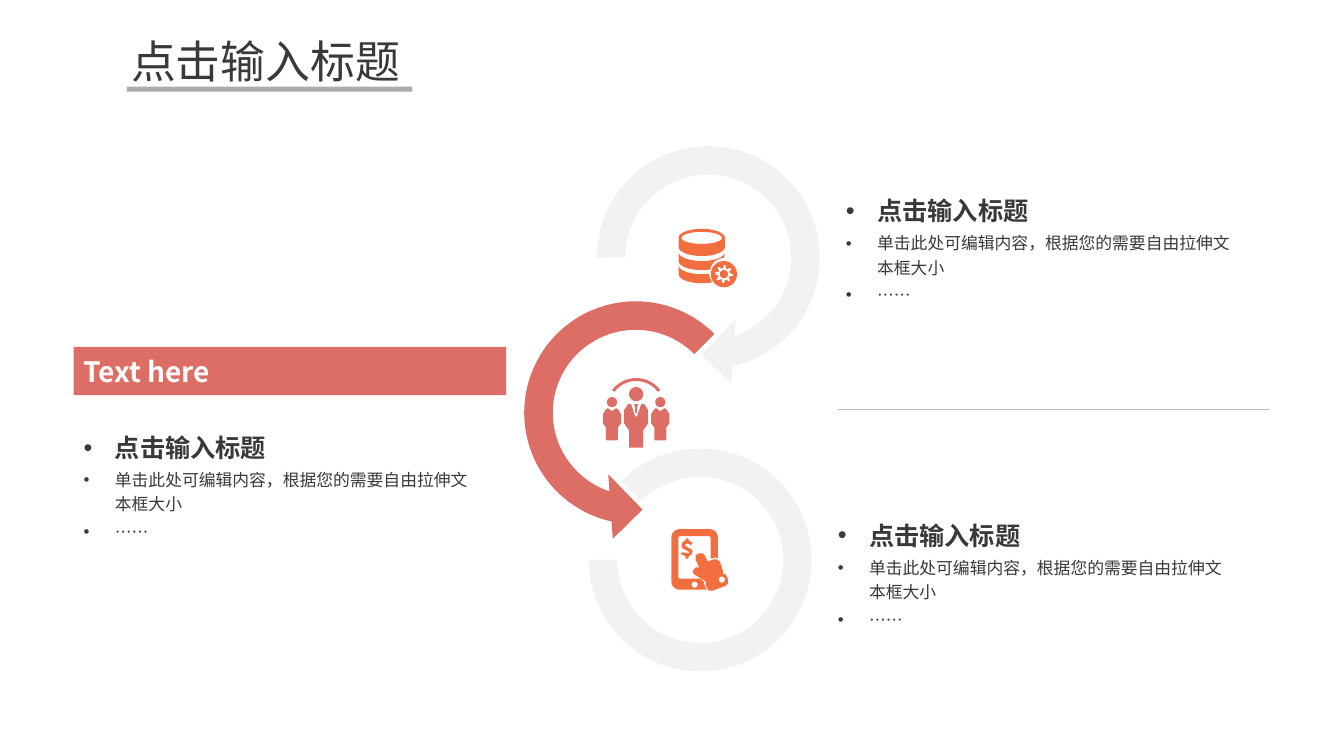
"""Builds a slide with three linked ring arrows, their icons and bullet lists."""
import math

from lxml import etree
from pptx import Presentation
from pptx import util as u
from pptx.dml.color import RGBColor
from pptx.enum import shapes, text
from pptx.oxml.ns import qn

PX = 9144
FONT = "Noto Sans CJK SC"
RED = RGBColor(0xDD, 0x6E, 0x65)
ORANGE = RGBColor(0xF3, 0x6E, 0x3F)
PALE = RGBColor(0xF2, 0xF2, 0xF2)
GRAY = RGBColor(0xAF, 0xAB, 0xAB)
RULE = RGBColor(0xBF, 0xBF, 0xBF)
DARK = RGBColor(0x3B, 0x38, 0x38)
WHITE = RGBColor(0xFF, 0xFF, 0xFF)


def arc(cx, cy, rx, ry, start=0, end=360):
    """Points along an ellipse, angles clockwise from the right."""
    steps = max(6, abs(end - start) // 9)
    angles = [math.radians(start + (end - start) * i / steps) for i in range(steps + 1)]
    return [(cx + rx * math.cos(a), cy + ry * math.sin(a)) for a in angles]


def mirrored(cx, half):
    """Closed outline from its right half, given as offsets from the axis."""
    return [(cx + x, y) for x, y in half] + [(cx - x, y) for x, y in reversed(half)]


prs = Presentation()
prs.slide_width, prs.slide_height = 1333 * PX, 750 * PX
slide = prs.slides.add_slide(prs.slide_layouts[4])
title = slide.shapes.title
spare, *lists = [p for p in slide.placeholders if p.placeholder_format.idx]
spare.element.getparent().remove(spare.element)

PRESET = shapes.MSO_SHAPE
presets = [
    (PRESET.RECTANGLE, (73, 344, 429, 48), RED, []),
    (PRESET.RECTANGLE, (126, 86, 283, 5), GRAY, []),
    (PRESET.CIRCULAR_ARROW, (574, 127, 257, 257), PALE, [0.11, 11.42, 45, 108, 0.125]),
    (PRESET.LEFT_CIRCULAR_ARROW, (502, 281, 257, 257), RED, [0.11, 11.42, 63, 189, 0.125]),
    (PRESET.BLOCK_ARC, (584, 445, 221, 221), PALE, [135, 108, 0.127]),
]
drawn = []
for kind, box, color, adjustments in presets:
    part = slide.shapes.add_shape(kind, *(v * PX for v in box))
    for i, value in enumerate(adjustments):
        part.adjustments[i] = value
    drawn.append((part, color))
banner = drawn[0][0]

gear = [(718 + r * math.cos(a), 272 + r * math.sin(a))
        for k in range(32)
        for r, a in [(9 if k % 4 < 2 else 6, math.radians(k * 11.25))]]
database = [
    arc(696, 236, 23, 9, 180, 360) + arc(696, 245, 23, 9, 0, 180),
    arc(696, 236, 20, 6),
    arc(696, 250, 23, 9, 180, 0) + arc(718, 270, 14, 14, 270, 190)
    + arc(696, 259, 23, 9, 95, 180),
    arc(696, 263, 23, 9, 180, 72) + [(703, 272), (706, 280)]
    + arc(696, 272, 23, 9, 65, 180),
    arc(718, 272, 13, 13),
    gear,
    arc(718, 272, 4, 4),
]

member = [(0, 408), (4, 405), (6, 406), (9, 411), (9, 420), (6, 424), (6, 436), (5, 437)]
leader = [(1, 413), (5, 401), (8, 401), (12, 407), (12, 420), (7, 427), (7, 444)]
tie = [(2, 401), (1, 404), (1, 408), (0, 411)]
team = [
    mirrored(631, leader),
    mirrored(631, tie),
    arc(631, 391, 7, 7),
    arc(631, 405, 30, 30, 217, 323) + arc(631, 405, 27, 27, 323, 217),
]
for center in (607, 655):
    team += [mirrored(center, member), arc(center, 399, 5, 5)]

dollar = [
    (687, 547), (686, 550), (683, 552), (683, 553), (681, 555), (680, 553),
    (680, 552), (676, 550), (675, 549), (677, 548), (678, 548), (682, 549),
    (684, 548), (681, 546), (677, 544), (676, 541), (677, 538), (680, 536),
    (680, 535), (681, 534), (683, 535), (683, 536), (686, 538), (687, 539),
    (685, 541), (684, 540), (681, 539), (679, 541), (682, 543), (686, 545),
]
hand = [
    (721, 572), (722, 575), (722, 579), (720, 581), (707, 586), (703, 586),
    (701, 583), (700, 580), (700, 577), (689, 570), (687, 568), (688, 565),
    (690, 563), (693, 563), (694, 564), (690, 555), (690, 551), (693, 549),
    (697, 549), (699, 551), (702, 557), (708, 555), (711, 555), (714, 557),
    (717, 566), (717, 569), (720, 570),
]
phone = [
    [(701, 585)] + arc(674, 577, 8, 8, 90, 180) + arc(674, 533, 8, 8, 180, 270)
    + arc(704, 533, 8, 8, 270, 360)
    + [(712, 554), (710, 553), (707, 554), (705, 554), (705, 533), (704, 532),
       (674, 532), (673, 533), (673, 573), (674, 574), (694, 574), (698, 577),
       (699, 581)],
    arc(689, 580, 3, 3),
    dollar,
    hand,
    arc(716, 575, 3, 3),
]

for contours, color in [(database, ORANGE), (team, RED), (phone, ORANGE)]:
    outlines = [[(x * PX, y * PX) for x, y in contour] for contour in contours]
    icon = slide.shapes.build_freeform(*outlines[0][0])
    for i, outline in enumerate(outlines):
        if i:
            icon.move_to(*outline[0])
        icon.add_line_segments(outline[1:], close=True)
    drawn.append((icon.convert_to_shape(), color))

for part, color in drawn:
    part.shadow.inherit = False
    part.fill.solid()
    part.fill.fore_color.rgb = color
    part.line.fill.background()

divider = slide.shapes.add_connector(
    shapes.MSO_CONNECTOR.STRAIGHT, 831 * PX, 406 * PX, 1260 * PX, 406 * PX)
divider.line.color.rgb = RULE
divider.line.width = u.Pt(0.25)
etree.SubElement(divider.element.spPr, qn("a:effectLst"))

HEADING = ("点击输入标题", 18, True)
DETAILS = [("单击此处可编辑内容，根据您的需要自由拉伸文本框大小", 12, False), ("……", 12, False)]
TOP, MIDDLE = text.MSO_ANCHOR.TOP, text.MSO_ANCHOR.MIDDLE
GROW, FIXED = text.MSO_AUTO_SIZE.SHAPE_TO_FIT_TEXT, text.MSO_AUTO_SIZE.NONE
texts = [
    (title, (120, 28, 309, 64), DARK, MIDDLE, GROW, [("点击输入标题", 32, False)]),
    (banner, (73, 344, 429, 48), WHITE, MIDDLE, FIXED, [("Text here", 20, True)]),
]
for points, (left, top) in zip(lists, [(831, 510), (839, 188), (83, 423)]):
    texts.append((points, (left, top, 385, 117), DARK, TOP, GROW, [HEADING, *DETAILS]))

for holder, box, color, anchor, fit, lines in texts:
    for side, value in zip(("left", "top", "width", "height"), box):
        setattr(holder, side, value * PX)
    frame = holder.text_frame
    frame_format = {"word_wrap": True, "auto_size": fit, "vertical_anchor": anchor}
    if holder in lists:
        frame_format |= dict.fromkeys(
            ("margin_left", "margin_top", "margin_right", "margin_bottom"), 0)
    for key, value in frame_format.items():
        setattr(frame, key, value)
    for i, (words, size, bold) in enumerate(lines):
        line = frame.add_paragraph() if i else frame.paragraphs[0]
        line.alignment = text.PP_ALIGN.LEFT
        run = line.add_run()
        run.text = words
        for key, value in {"name": FONT, "size": u.Pt(size), "bold": bold}.items():
            setattr(run.font, key, value)
        run.font.color.rgb = color
        etree.SubElement(run.font._element, qn("a:ea"), typeface=FONT)
        if holder in lists:
            line.line_spacing = 1.2
            props = line._p.get_or_add_pPr()
            props.set("marL", str(31 * PX))
            props.set("indent", str(-31 * PX))
            etree.SubElement(props, qn("a:buChar"), char="•")

prs.save("out.pptx")
